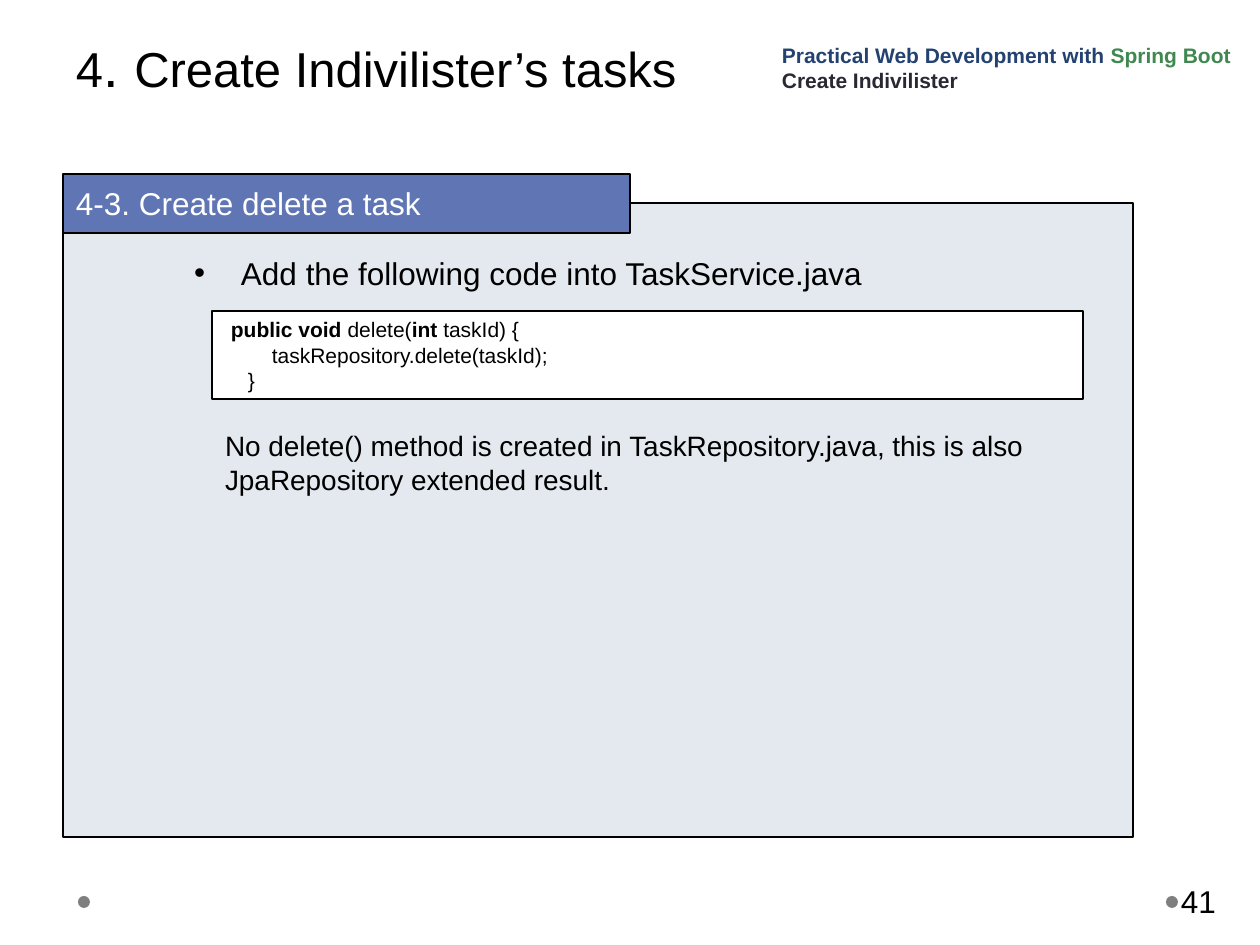
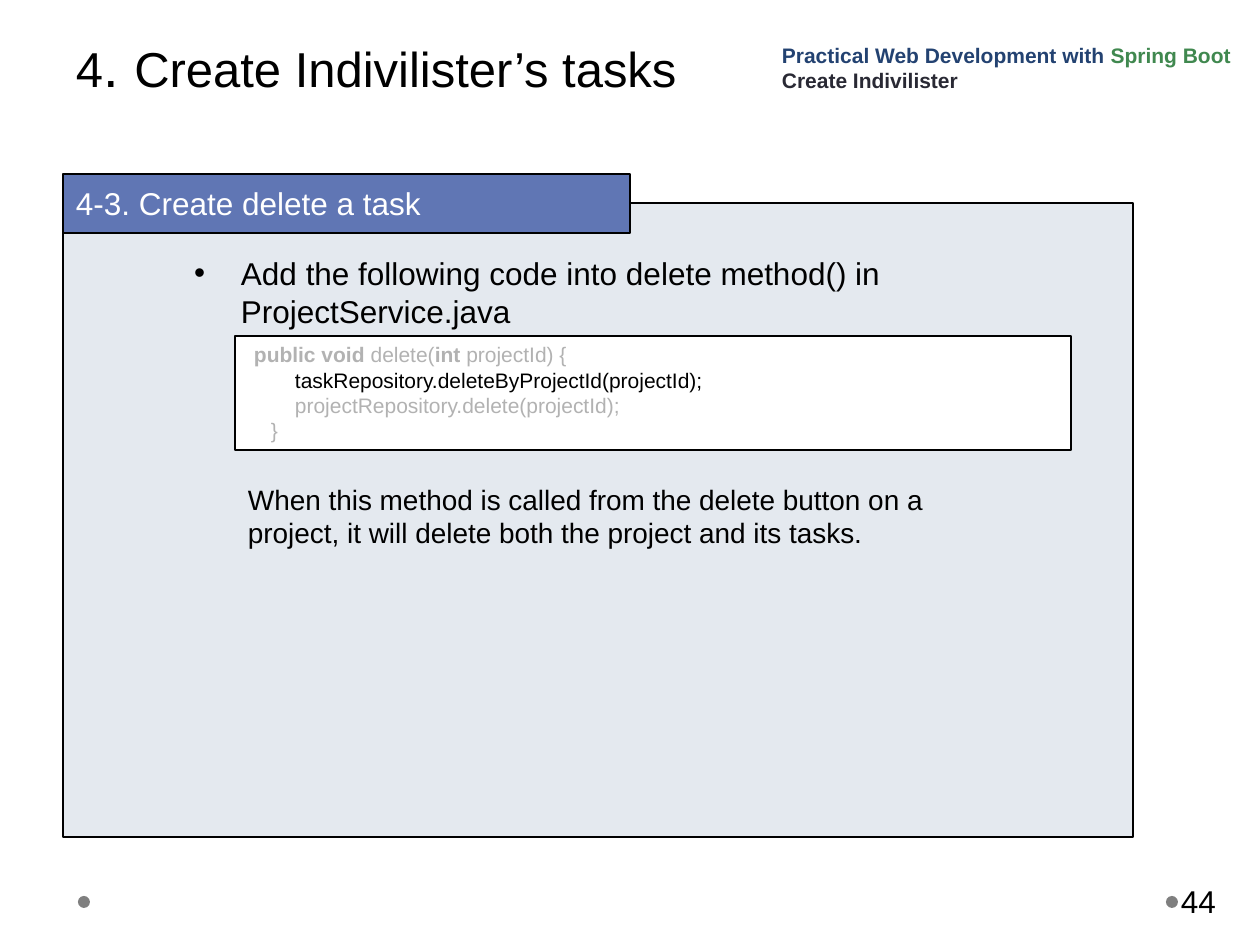
from lxml.etree import SubElement
from pptx import Presentation
from pptx.dml.color import RGBColor
from pptx.enum.shapes import MSO_SHAPE as Preset
from pptx.enum.text import MSO_ANCHOR as Anchor
from pptx.oxml.ns import qn
from pptx.util import Emu, Pt

EMU_PER_PX = 914400 / 126
FONT = "Arial"
COLORS = {
    "text": "000000",
    "paper": "FFFFFF",
    "panel": "E4E9EF",
    "heading": "6076B4",
    "dot": "7F7F7F",
    "course": "234271",
    "framework": "40884F",
    "lesson": "292934",
    "faded": "B2B2B2",
}


def px(length):
    return Emu(round(length * EMU_PER_PX))


def rgb(name):
    return RGBColor.from_string(COLORS[name])


def add_panel(slide, box, fill, preset=Preset.RECTANGLE, outlined=True):
    panel = slide.shapes.add_shape(preset, *map(px, box))
    panel.shadow.inherit = False
    panel.fill.solid()
    panel.fill.fore_color.rgb = rgb(fill)
    if outlined:
        panel.line.color.rgb = rgb("text")
        panel.line.width = Pt(0.75)
    else:
        panel.line.fill.background()
    return panel


def add_text_box(slide, box):
    return slide.shapes.add_textbox(*map(px, box))


def set_frame(holder, anchor=Anchor.TOP, left=13, bottom=6):
    frame = holder.text_frame
    frame.word_wrap = True
    frame.vertical_anchor = anchor
    frame.margin_left, frame.margin_right = px(left), px(13)
    frame.margin_top, frame.margin_bottom = px(6), px(bottom)
    return frame


def write(frame, *pieces, size=18, color="text", bold=False, indent=0,
          bullet=None, before=0, spacing=None):
    paragraph = frame.paragraphs[0]
    if paragraph.runs:
        paragraph = frame.add_paragraph()
    paragraph.space_before = Pt(before)
    if spacing:
        paragraph.line_spacing = spacing
    properties = paragraph._p.get_or_add_pPr()
    properties.set("algn", "l")
    properties.set("marL", str(px(indent)))
    properties.set("indent", str(-px(indent) if bullet else 0))
    if bullet:
        tint = SubElement(properties, qn("a:buClr"))
        SubElement(tint, qn("a:srgbClr"), val=COLORS["text"])
        SubElement(properties, qn("a:buFont"), typeface=FONT)
        SubElement(properties, qn("a:buChar"), char=bullet)
    for piece in pieces:
        words, changes = (piece, {}) if isinstance(piece, str) else piece
        run = paragraph.add_run()
        run.text = words
        run.font.name = FONT
        run.font.size = Pt(changes.get("size", size))
        run.font.bold = changes.get("bold", bold)
        run.font.color.rgb = rgb(changes.get("color", color))


def add_footer(slide, number):
    for left in (1166, 78):
        add_panel(slide, (left, 896, 12, 12), "dot", Preset.OVAL, outlined=False)
    page = add_text_box(slide, (1177, 876, 77, 50))
    write(set_frame(page, Anchor.MIDDLE, left=4), number)


def add_title(slide):
    title = add_text_box(slide, (63, 0, 1134, 203))
    write(set_frame(title, Anchor.BOTTOM, bottom=113),
          "4", (". ", {"size": 32}), "Create Indivilister’s tasks",
          size=28, spacing=Pt(57.9))


def add_course_label(slide):
    label = set_frame(add_text_box(slide, (769, 30, 491, 69)), Anchor.BOTTOM)
    write(label, "Practical Web Development with ",
          ("Spring Boot", {"color": "framework"}),
          size=12, color="course", bold=True)
    write(label, "Create Indivilister", size=12, color="lesson", bold=True)


def add_section(slide, heading):
    add_panel(slide, (63, 203, 1070, 634), "panel")
    add_title(slide)
    bar = add_panel(slide, (63, 174, 567, 59), "heading")
    write(set_frame(bar), heading, color="paper", before=4.5, spacing=1.1)


def add_step(slide, box, instruction):
    write(set_frame(add_text_box(slide, box)), instruction, indent=47, bullet="•")


def add_note(slide, box, note):
    write(set_frame(add_text_box(slide, box)), note, size=16, before=4)


def add_code(slide, box, argument, statements, color="text"):
    code = set_frame(add_panel(slide, box, "paper"))
    keyword = {"bold": True}
    write(code, ("public void", keyword), " delete(", ("int", keyword),
          f" {argument}) {{", size=12, color=color, indent=6)
    for statement, tone in statements:
        write(code, statement, size=12, color=tone, indent=47)
    write(code, "}", size=12, color=color, indent=23)


def start_slide(deck, number):
    slide = deck.slides.add_slide(deck.slide_layouts[6])
    add_footer(slide, number)
    add_section(slide, "4-3. Create delete a task")
    add_course_label(slide)
    return slide


def main():
    deck = Presentation()
    deck.slide_width, deck.slide_height = px(1260), px(945)

    task = start_slide(deck, "41")
    add_step(task, (181, 248, 902, 50),
             "Add the following code into TaskService.java")
    add_note(task, (212, 423, 835, 81),
             "No delete() method is created in TaskRepository.java, "
             "this is also JpaRepository extended result.")
    add_code(task, (212, 311, 871, 88), "taskId",
             [("taskRepository.delete(taskId);", "text")])

    project = start_slide(deck, "44")
    add_step(project, (181, 248, 929, 88),
             "Add the following code into delete method() in ProjectService.java")
    add_note(project, (235, 476, 780, 107),
             "When this method is called from the delete button on a project, "
             "it will delete both the project and its tasks.")
    add_code(project, (235, 336, 836, 114), "projectId",
             [("taskRepository.deleteByProjectId(projectId);", "text"),
              ("projectRepository.delete(projectId);", "faded")],
             color="faded")

    deck.save("out.pptx")


if __name__ == "__main__":
    main()
